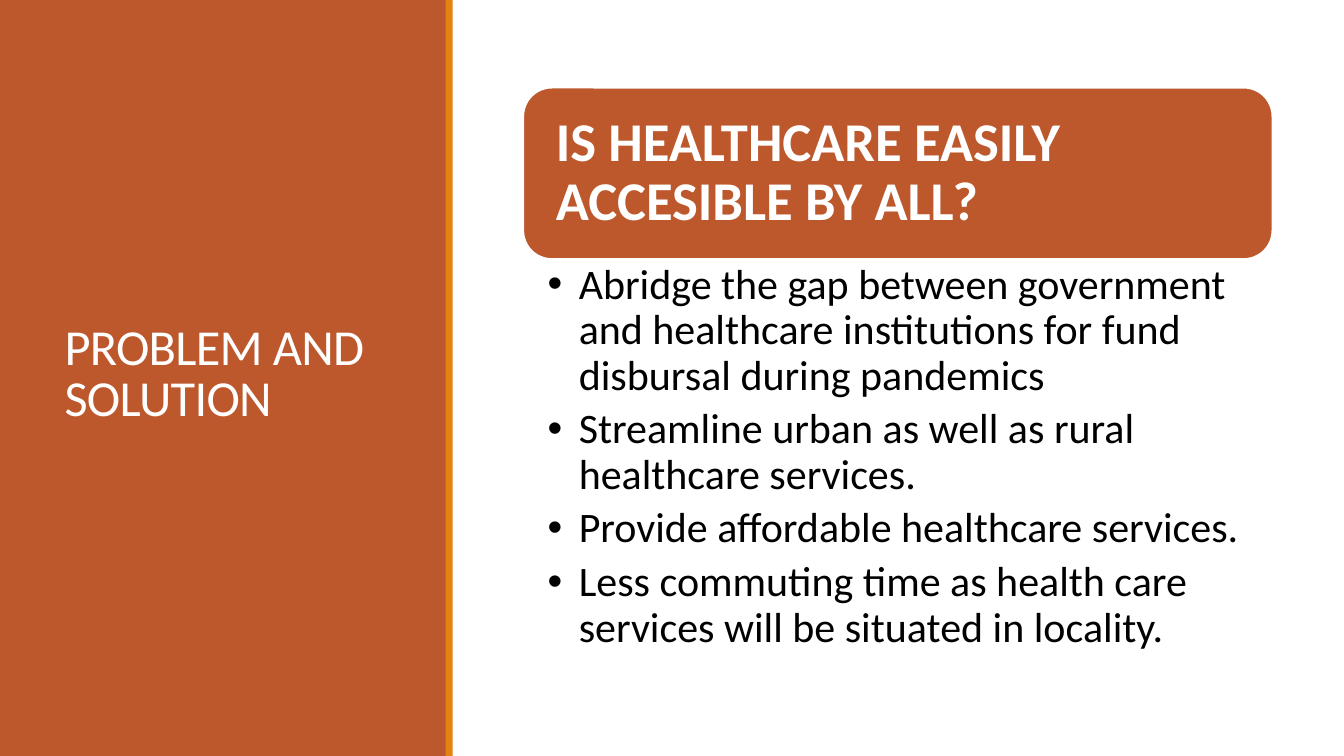
"""Build the problem and solution slide."""
from dataclasses import dataclass
from pptx import Presentation
from pptx.dml.color import RGBColor
from pptx.enum.shapes import MSO_SHAPE
from pptx.enum.text import MSO_ANCHOR, MSO_AUTO_SIZE, PP_ALIGN
from pptx.util import Inches, Pt

HUES = {"rust": "BD582C", "gold": "E48312", "white": "FFFFFF", "black": "000000"}


@dataclass
class Box:
    """Place and colours of a filled shape."""
    area: tuple[float, float, float, float]
    fill: str
    kind: MSO_SHAPE = MSO_SHAPE.RECTANGLE
    line: str | None = None


@dataclass
class Copy:
    """Wording and format of a block of text."""
    lines: list[str]
    hue: str
    font: dict
    para: dict
    frame: dict


def apply(item: object, form: dict) -> None:
    """Set each format value on the item."""
    for name, value in form.items():
        setattr(item, name, value)


def place(shape, area: tuple[float, float, float, float]) -> None:
    """Move and size a shape in inches."""
    apply(shape, dict(zip(("left", "top", "width", "height"), map(Inches, area))))


def draw(slide, box: Box):
    """Add a filled shape."""
    shape = slide.shapes.add_shape(box.kind, *map(Inches, box.area))
    shape.shadow.inherit = False
    shape.fill.solid()
    shape.fill.fore_color.rgb = RGBColor.from_string(HUES[box.fill])
    if box.line:
        shape.line.color.rgb = RGBColor.from_string(HUES[box.line])
        shape.line.width = Pt(1.25)
    else:
        shape.line.fill.background()
    return shape


def write(shape, text: Copy) -> None:
    """Fill a shape with formatted paragraphs."""
    frame = shape.text_frame
    frame.text = "\n".join(text.lines)
    apply(frame, {"word_wrap": True, "auto_size": MSO_AUTO_SIZE.NONE} | text.frame)
    for para in frame.paragraphs:
        apply(para, {"alignment": PP_ALIGN.LEFT, "space_before": Pt(0)} | text.para)
        for run in para.runs:
            apply(run.font, {"name": "Calibri"} | text.font)
            run.font.color.rgb = RGBColor.from_string(HUES[text.hue])


def inset(left: float, top: float, right: float, base: float) -> dict:
    """Give the four margins of a text frame."""
    names = ("margin_left", "margin_top", "margin_right", "margin_bottom")
    return dict(zip(names, map(Inches, (left, top, right, base))))


PANEL = Box((0, 0, 4.43, 7.5), "rust")
STRIPE = Box((4.42, 0, 0.07, 7.5), "gold")
BANNER = Box((5.19, 0.87, 7.43, 1.7), "rust", MSO_SHAPE.ROUNDED_RECTANGLE, "white")
MIDDLE = {"vertical_anchor": MSO_ANCHOR.MIDDLE}

TITLE = Copy(["PROBLEM AND SOLUTION"], "white", {"size": Pt(36)},
             {"line_spacing": 0.85}, MIDDLE)
HEAD = Copy(["IS HEALTHCARE EASILY ACCESIBLE BY ALL?"], "white",
            {"size": Pt(39), "bold": True}, {"line_spacing": 0.9},
            MIDDLE | inset(0.24, 0.16, 0.24, 0.16))
GOALS = Copy([
    "Abridge the gap between government and healthcare institutions "
    "for fund disbursal during pandemics",
    "Streamline urban as well as rural healthcare services.",
    "Provide affordable healthcare services.",
    "Less commuting time as health care services will be situated in locality.",
], "black", {"size": Pt(30)}, {"line_spacing": 0.9, "space_after": Pt(6)},
    {"vertical_anchor": MSO_ANCHOR.TOP} | inset(0.24, 0.05, 0.3, 0.05))


def main() -> None:
    """Build and save the slide."""
    deck = Presentation()
    apply(deck, {"slide_width": Inches(13.33), "slide_height": Inches(7.5)})
    slide = deck.slides.add_slide(deck.slide_layouts[1])
    title, body = slide.placeholders

    place(title, (0.54, 0.57, 3.37, 6.31))
    write(title, TITLE)
    title.text_frame.paragraphs[0].runs[0].font._element.set("spc", "-50")
    title.element.addprevious(draw(slide, PANEL).element)
    draw(slide, STRIPE)

    write(draw(slide, BANNER), HEAD)
    place(body, (5.19, 2.56, 7.43, 4.15))
    write(body, GOALS)
    for para in body.text_frame.paragraphs:
        form = para._p.get_or_add_pPr()
        form.set("marL", str(Inches(0.31)))
        form.set("indent", str(Inches(-0.31)))

    deck.save("out.pptx")


if __name__ == "__main__":
    main()
